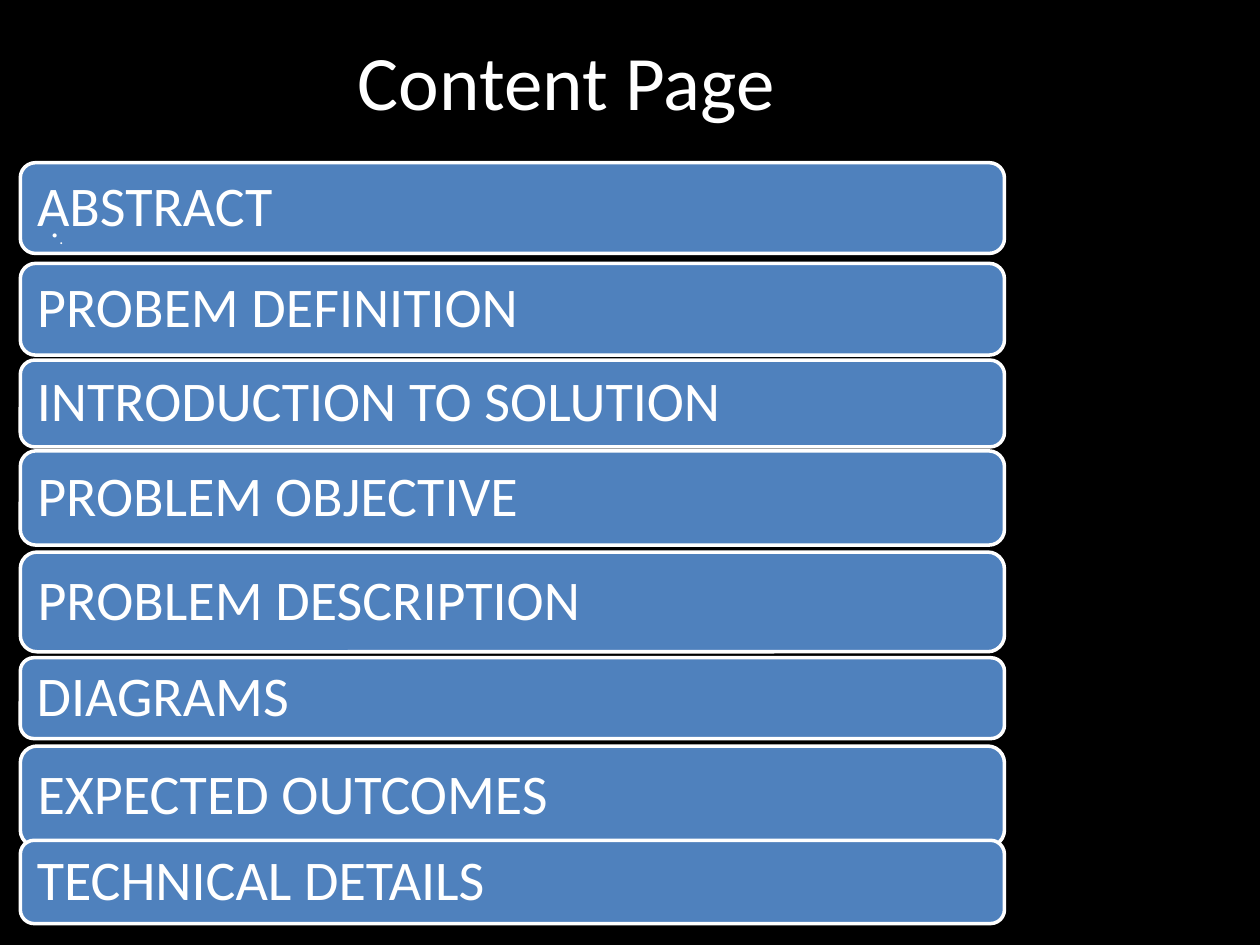
import pptx
import pptx.util
import pptx.dml.color
import pptx.enum.shapes
import pptx.enum.text
import pptx.oxml.ns
import lxml.etree

Cm = pptx.util.Cm
Pt = pptx.util.Pt
FONT = "Calibri"
COLOURS = {"background": "000000", "bar": "4F81BD", "text": "FFFFFF", "outline": "FFFFFF"}
BAR_LEFT, BAR_WIDTH = 0.41, 19.84

# Topic, top and height in centimetres
TOPICS = [
    ("ABSTRACT", 3.28, 1.83),
    ("PROBEM DEFINITION", 5.31, 1.85),
    ("INTRODUCTION TO SOLUTION", 7.26, 1.75),
    ("PROBLEM OBJECTIVE ", 9.09, 1.9),
    ("PROBLEM DESCRIPTION", 11.13, 2.01),
    ("DIAGRAMS", 13.26, 1.63),
    ("EXPECTED OUTCOMES", 15.04, 2.03),
    ("TECHNICAL DETAILS", 16.94, 1.68),
]


def colour(name):
    """Return the named colour."""
    return pptx.dml.color.RGBColor.from_string(COLOURS[name])


def write_text(text_frame, text, size, alignment, anchor):
    """Write one formatted paragraph and return it."""
    text_frame.text = text
    text_frame.word_wrap = True
    text_frame.vertical_anchor = anchor
    paragraph = text_frame.paragraphs[0]
    paragraph.alignment = alignment
    font = paragraph.runs[0].font
    font.name = FONT
    font.size = Pt(size)
    font.color.rgb = colour("text")
    return paragraph


def set_margins(text_frame, left, top, right, bottom):
    """Set the text margins in centimetres."""
    text_frame.margin_left, text_frame.margin_top = Cm(left), Cm(top)
    text_frame.margin_right, text_frame.margin_bottom = Cm(right), Cm(bottom)


def add_title(slide, text):
    """Fill and place the title placeholder."""
    title = slide.shapes.title
    title.left, title.top, title.width, title.height = Cm(1), Cm(0.41), Cm(20.83), Cm(2.39)
    write_text(title.text_frame, text, 44, pptx.enum.text.PP_ALIGN.CENTER,
               pptx.enum.text.MSO_ANCHOR.MIDDLE)


def add_bar(slide, text, top, height):
    """Add a rounded bar holding one topic."""
    bar = slide.shapes.add_shape(pptx.enum.shapes.MSO_SHAPE.ROUNDED_RECTANGLE,
                                 Cm(BAR_LEFT), Cm(top), Cm(BAR_WIDTH), Cm(height))
    bar.shadow.inherit = False
    bar.fill.solid()
    bar.fill.fore_color.rgb = colour("bar")
    bar.line.color.rgb = colour("outline")
    bar.line.width = Pt(2)
    set_margins(bar.text_frame, 0.25, 0.25, 0.25, 0.25)
    paragraph = write_text(bar.text_frame, text, 32, pptx.enum.text.PP_ALIGN.LEFT,
                           pptx.enum.text.MSO_ANCHOR.MIDDLE)
    paragraph.line_spacing = 0.9


def add_bullet_note(slide, text):
    """Add the small bulleted line under the first topic."""
    note = slide.shapes.add_textbox(Cm(BAR_LEFT), Cm(4.6), Cm(BAR_WIDTH), Cm(0.56))
    set_margins(note.text_frame, 0.64, 0.05, 0.23, 0.05)
    paragraph = write_text(note.text_frame, text, 9, pptx.enum.text.PP_ALIGN.LEFT,
                           pptx.enum.text.MSO_ANCHOR.TOP)
    paragraph.level = 1
    paragraph.line_spacing = 0.9
    properties = paragraph._p.get_or_add_pPr()
    properties.set("marL", str(Cm(0.15)))
    properties.set("indent", str(-Cm(0.15)))
    bullet = lxml.etree.SubElement(properties, pptx.oxml.ns.qn("a:buChar"))
    bullet.set("char", "•")


def main():
    """Build the contents slide."""
    presentation = pptx.Presentation()
    presentation.slide_width, presentation.slide_height = Cm(25.4), Cm(19.05)
    slide = presentation.slides.add_slide(presentation.slide_layouts[5])
    slide.background.fill.solid()
    slide.background.fill.fore_color.rgb = colour("background")
    add_title(slide, "Content Page")
    for topic, top, height in TOPICS:
        add_bar(slide, topic, top, height)
    add_bullet_note(slide, ".")
    presentation.save("out.pptx")


main()
